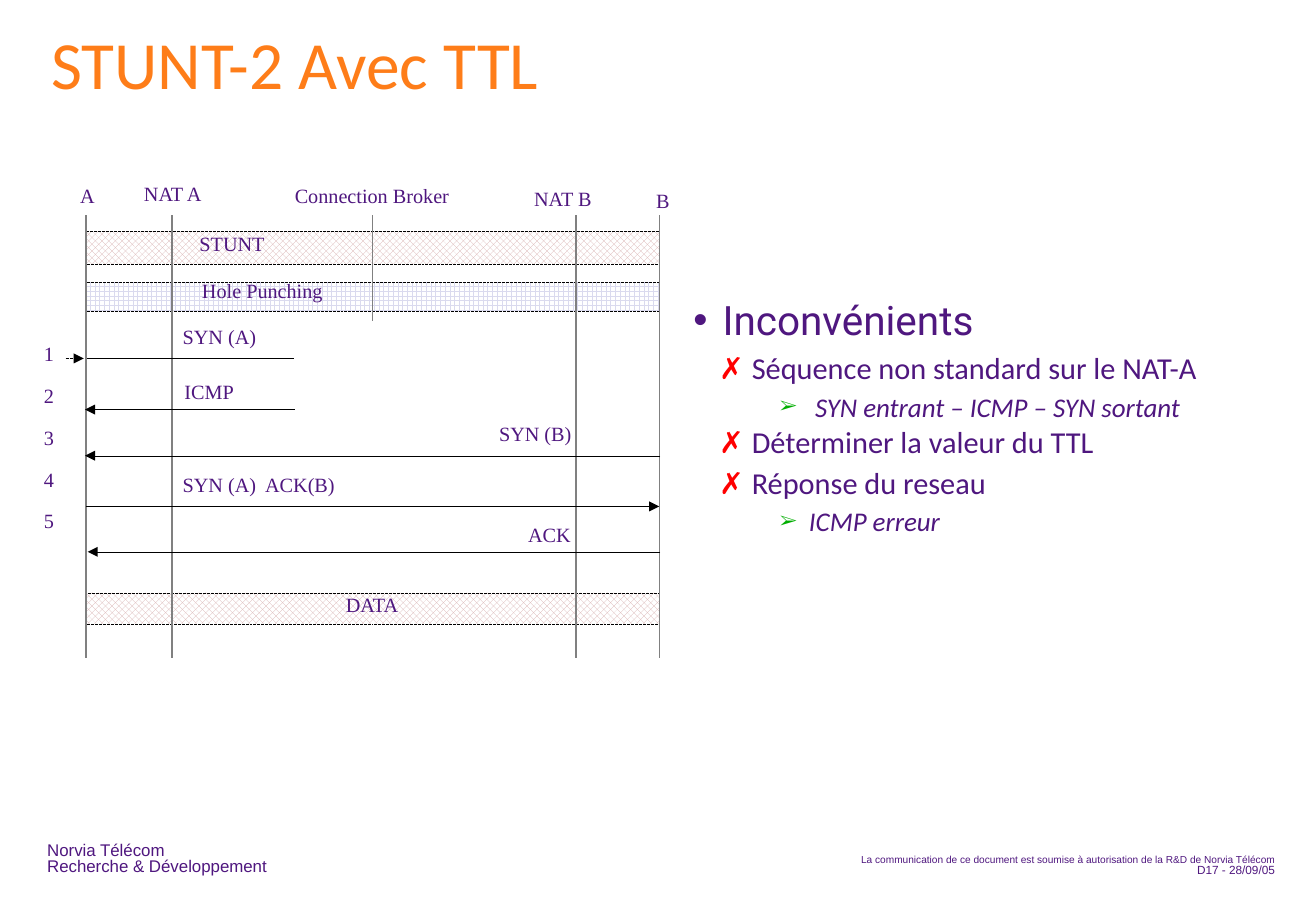
from lxml import etree
from pptx import Presentation
from pptx.dml.color import RGBColor
from pptx.enum import dml, shapes, text
from pptx.oxml import ns
from pptx.util import Pt

COLORS = {
    "purple": "4F177F", "orange": "FE7D19", "black": "000000", "gray": "808080",
    "white": "FFFFFF", "rose": "D8B0B0", "lavender": "DADAEE",
    "red": "FF0000", "green": "00AE00",
}
RGB = {name: RGBColor.from_string(value) for name, value in COLORS.items()}
LEFT, RIGHT, CENTER = text.PP_ALIGN.LEFT, text.PP_ALIGN.RIGHT, text.PP_ALIGN.CENTER
HAIRLINE = 0.1

deck = Presentation()
deck.slide_width = Pt(780.48)
deck.slide_height = Pt(540)
slide = deck.slides.add_slide(deck.slide_layouts[6])


def add_text(box, lines, font, size, spacing, color="purple", align=LEFT, before=0, inset=0):
    """Add a text box with one paragraph per line and return its text frame."""
    frame = slide.shapes.add_textbox(*map(Pt, box)).text_frame
    frame.word_wrap = True
    frame.margin_left = frame.margin_right = Pt(inset)
    frame.margin_top = frame.margin_bottom = Pt(inset / 2)
    for number, line in enumerate(lines):
        paragraph = frame.paragraphs[0] if number == 0 else frame.add_paragraph()
        paragraph.alignment = align
        paragraph.line_spacing = spacing
        if number:
            paragraph.space_before = Pt(before)
        run = paragraph.add_run()
        run.text = line
        run.font.name, run.font.size = font, Pt(size)
        run.font.color.rgb = RGB[color]
    return frame


def add_line(x1, y1, x2, y2, color="black", width=HAIRLINE, arrow=False, dash=None):
    """Add a straight line, with an arrowhead at its end if asked."""
    line = slide.shapes.add_connector(
        shapes.MSO_CONNECTOR.STRAIGHT, Pt(x1), Pt(y1), Pt(x2), Pt(y2))
    line.line.color.rgb = RGB[color]
    line.line.width = Pt(width)
    line.line.dash_style = dash
    if arrow:
        etree.SubElement(line.line._get_or_add_ln(), ns.qn("a:tailEnd"), type="triangle")
    etree.SubElement(line._element.spPr, ns.qn("a:effectLst"))


# Title and footers
add_text((23.3, 18.2, 653, 78), ["STUNT-2 Avec TTL"], "Calibri", 40, 0.81, "orange", inset=7.2)
add_text((21.4, 496.4, 200, 27.4), ["Norvia Télécom", "Recherche & Développement"],
         "Arial", 10, 0.81, inset=6.6)
notice = add_text(
    (477, 485, 279, 38),
    ["La communication de ce document est soumise à autorisation de la R&D de Norvia Télécom",
     "D17 - 28/09/05"], "Arial", 6, 0.68, align=RIGHT, before=1.2)
notice.vertical_anchor = text.MSO_ANCHOR.BOTTOM
notice.margin_bottom = Pt(3.6)
notice.paragraphs[1].runs[0].font.size = Pt(7)

# Phase bands
band_left, band_width = 50.7, 340.3
for top, height, pattern, color in [
    (137, 19.5, dml.MSO_PATTERN.OUTLINED_DIAMOND, "rose"),
    (167, 17.3, dml.MSO_PATTERN.LARGE_GRID, "lavender"),
    (351.4, 18.3, dml.MSO_PATTERN.OUTLINED_DIAMOND, "rose"),
]:
    band = slide.shapes.add_shape(
        shapes.MSO_SHAPE.RECTANGLE, Pt(band_left), Pt(top), Pt(band_width), Pt(height))
    band.shadow.inherit = False
    band.fill.patterned()
    band.fill.pattern = pattern
    band.fill.fore_color.rgb = RGB[color]
    band.fill.back_color.rgb = RGB["white"]
    band.line.color.rgb = RGB["black"]
    band.line.width = Pt(HAIRLINE)
    band.line.dash_style = dml.MSO_LINE.DASH

# Lifelines
for x, bottom in [(51, 390), (102.2, 390), (221, 190.5), (341.8, 390), (391.2, 390)]:
    add_line(x, 127.7, x, bottom, "gray", 1)

# Messages
add_line(38.9, 212.5, 49.7, 212.5, arrow=True, dash=dml.MSO_LINE.DASH)
add_line(51.8, 212.5, 174.5, 212.5)
for start, end, y in [(174.8, 50.4, 242.8), (391.5, 50.4, 270.1),
                      (51, 391, 300.2), (391.5, 52, 327.1)]:
    add_line(start, y, end, y, arrow=True)

# Diagram labels
for label, x, y, width, align in [
    ("A", 47.5, 110.9, 40, LEFT),
    ("NAT A", 85.4, 109.6, 58, LEFT),
    ("Connection Broker", 174.8, 110.9, 140, LEFT),
    ("NAT B", 316.8, 112.6, 60, LEFT),
    ("B", 389.2, 113.8, 40, LEFT),
    ("STUNT", 118.3, 139.4, 73, LEFT),
    ("Hole Punching", 119.8, 167, 90, LEFT),
    ("DATA", 177.8, 353.4, 85.7, CENTER),
    ("SYN (A)", 108.3, 194.4, 60, LEFT),
    ("ICMP", 109.4, 227.2, 50, LEFT),
    ("SYN (B)", 296, 252, 50, LEFT),
    ("SYN (A)  ACK(B)", 108.3, 282.2, 106, LEFT),
    ("ACK", 313.2, 311.8, 36, LEFT),
]:
    add_text((x, y, width, 16.6), [label], "Times New Roman", 12, 0.86, align=align)

# Step numbers
add_text((19.6, 204.5, 12.4, 174), "12345", "Times New Roman", 12, 0.86, align=RIGHT, before=12.4)

# Drawbacks: indent, size, line spacing, space before and after, bullet, its font, colour and size
styles = {
    1: (33.8, 24, Pt(32), 0, 3, "•", "Arial", "purple", 100),
    2: (51.1, 18, Pt(22), 0, 2.2, "✗", "Times New Roman", "red", 100),
    4: (85, 16, 0.81, 4, 0, "➢", "Times New Roman", "green", 70),
}
drawbacks = [
    (1, "Inconvénients"),
    (2, "Séquence non standard sur le NAT-A"),
    (4, " SYN entrant – ICMP – SYN sortant"),
    (2, "Déterminer la valeur du TTL"),
    (2, "Réponse du reseau"),
    (4, "ICMP erreur"),
]
body = add_text((386.8, 167.6, 381, 204.5), [line for _, line in drawbacks],
                "Calibri", 18, 1, inset=8)
for paragraph, (level, _) in zip(body.paragraphs, drawbacks):
    indent, size, spacing, before, after, bullet, bullet_font, color, percent = styles[level]
    paragraph.level = level - 1
    properties = paragraph._p.get_or_add_pPr()
    properties.set("marL", str(Pt(indent)))
    properties.set("indent", str(Pt(-17.3)))
    bullet_color = etree.SubElement(properties, ns.qn("a:buClr"))
    etree.SubElement(bullet_color, ns.qn("a:srgbClr"), val=COLORS[color])
    etree.SubElement(properties, ns.qn("a:buSzPct"), val=str(percent * 1000))
    etree.SubElement(properties, ns.qn("a:buFont"), typeface=bullet_font)
    etree.SubElement(properties, ns.qn("a:buChar"), char=bullet)
    paragraph.line_spacing = spacing
    paragraph.space_before, paragraph.space_after = Pt(before), Pt(after)
    font = paragraph.runs[0].font
    font.size, font.italic = Pt(size), level == 4
    font.name = "Roboto" if level == 1 else "Calibri"

deck.save("out.pptx")
